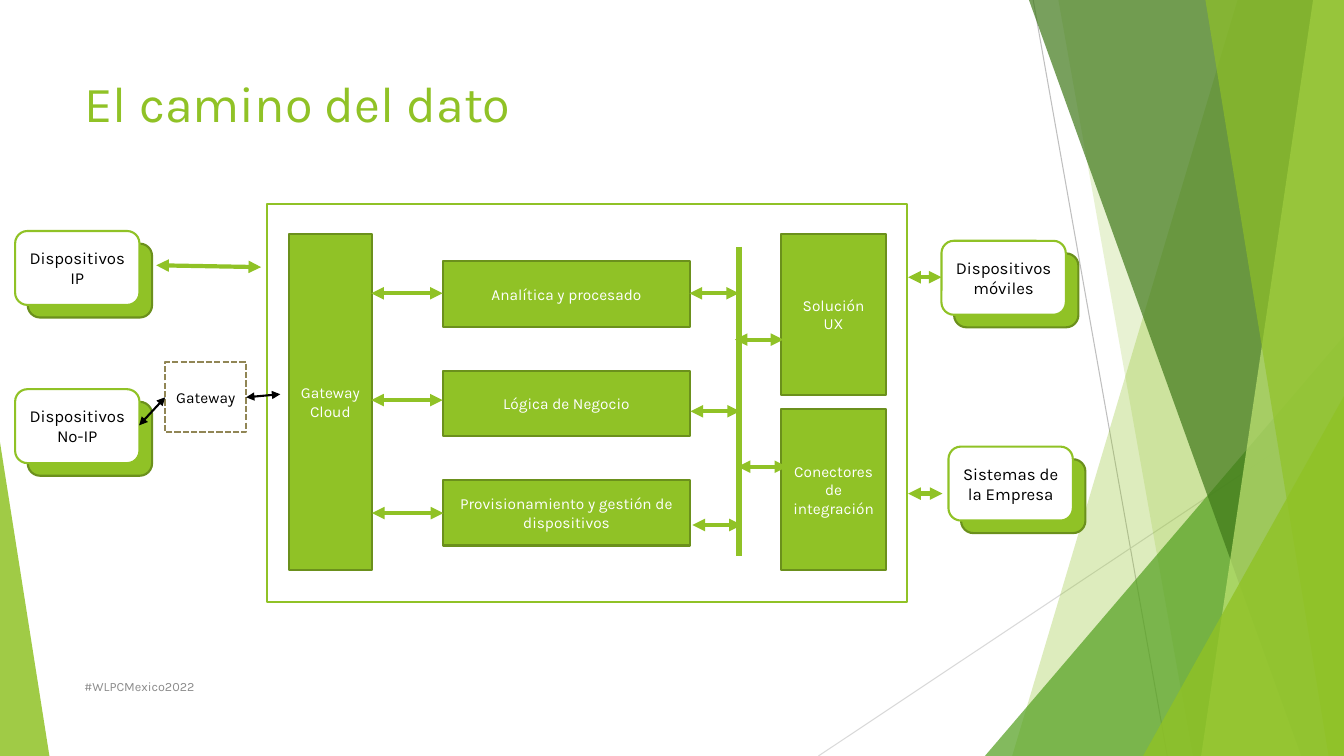
from lxml.etree import SubElement
from pptx import Presentation
from pptx.dml.color import RGBColor
from pptx.enum.dml import MSO_LINE as Dash
from pptx.enum.shapes import MSO_CONNECTOR as Link, MSO_SHAPE as Form
from pptx.enum.text import MSO_ANCHOR as Anchor, PP_ALIGN as Align
from pptx.oxml.ns import qn
from pptx.util import Pt

LIME = RGBColor(0x90, 0xC2, 0x26)
OLIVE = RGBColor(0x6B, 0x90, 0x1C)
GREEN = RGBColor(0x54, 0xA0, 0x21)
FOREST = RGBColor(0x3F, 0x78, 0x19)
PALE = RGBColor(0xC0, 0xE4, 0x74)
KHAKI = RGBColor(0x91, 0x86, 0x55)
SILVER = RGBColor(0xBF, 0xBF, 0xBF)
MIST = RGBColor(0xD9, 0xD9, 0xD9)
GRAY = RGBColor(0x8C, 0x8C, 0x8C)
WHITE = RGBColor(0xFF, 0xFF, 0xFF)
BLACK = RGBColor(0, 0, 0)
WIDE, HIGH = 960, 540


class Sketch:
    """Draw styled elements on one slide, with lengths in points."""

    face = "Karla"

    def __init__(self, deck):
        self.slide = deck.slides.add_slide(deck.slide_layouts[5])
        self.shapes = self.slide.shapes

    def label(self, shape, text, size, color, align=Align.CENTER, anchor=Anchor.MIDDLE, inset=7.2):
        frame = shape.text_frame
        frame.text = text
        look = {
            "word_wrap": True, "vertical_anchor": anchor,
            "margin_left": Pt(inset), "margin_right": Pt(inset),
            "margin_top": Pt(3.6), "margin_bottom": Pt(3.6),
        }
        for name, value in look.items():
            setattr(frame, name, value)
        para = frame.paragraphs[0]
        para.alignment = align
        font = para.runs[0].font
        for name, value in {"name": self.face, "size": Pt(size), "bold": False}.items():
            setattr(font, name, value)
        font.color.rgb = color

    def title(self, text, *box):
        shape = self.shapes.title
        for name, value in zip(("left", "top", "width", "height"), box):
            setattr(shape, name, Pt(value))
        self.label(shape, text, 36, LIME, Align.LEFT, Anchor.TOP)

    def note(self, text, *box):
        shape = self.shapes.add_textbox(*map(Pt, box))
        self.label(shape, text, 9, GRAY, Align.LEFT)

    def tint(self, shape, color, alpha):
        shape.shadow.inherit = False
        shape.fill.solid()
        shape.fill.fore_color.rgb = color
        shape.line.fill.background()
        tone = shape._element.spPr.find(qn("a:solidFill")).find(qn("a:srgbClr"))
        SubElement(tone, qn("a:alpha"), val=str(alpha * 1000))

    def shard(self, top, base, color, alpha):
        edge = self.shapes.build_freeform(Pt(top), 0)
        edge.add_line_segments([(Pt(x), Pt(y)) for x, y in ((WIDE, 0), (WIDE, HIGH), (base, HIGH))])
        self.tint(edge.convert_to_shape(), color, alpha)

    def wedge(self, left, top, width, peak, color, alpha):
        shape = self.shapes.add_shape(Form.ISOSCELES_TRIANGLE, *map(Pt, (left, top, width, HIGH - top)))
        shape.adjustments[0] = peak
        self.tint(shape, color, alpha)

    def box(self, area, text="", fill=LIME, edge=OLIVE, form=Form.RECTANGLE,
            size=11, color=WHITE, dash=None, inset=7.2):
        shape = self.shapes.add_shape(form, *map(Pt, area))
        shape.shadow.inherit = False
        shape.fill.solid()
        shape.fill.fore_color.rgb = fill
        shape.line.color.rgb = edge
        shape.line.width = Pt(1.5)
        if dash:
            shape.line.dash_style = dash
        if text:
            self.label(shape, text, size, color, inset=inset)

    def card(self, left, top, text):
        width, height, shift = 88.8, 52.8, 9
        form = Form.ROUNDED_RECTANGLE
        self.box((left + shift, top + shift, width, height), form=form)
        self.box((left, top, width, height), text, WHITE, LIME, form, 12, BLACK, inset=3.6)

    def line(self, ends, color=LIME, width=3, heads=True):
        link = self.shapes.add_connector(Link.STRAIGHT, *map(Pt, ends))
        link.line.color.rgb = color
        link.line.width = Pt(width)
        if heads:
            edge = link._element.spPr.find(qn("a:ln"))
            for end in ("a:headEnd", "a:tailEnd"):
                SubElement(edge, qn(end), type="triangle")
        SubElement(link._element.spPr, qn("a:effectLst"))


def backdrop(art):
    art.line((738, 0, 833.8, HIGH), SILVER, 0.75, False)
    art.line((WIDE, 290, 584.6, HIGH), MIST, 0.75, False)
    art.shard(884, 723, LIME, 30)
    art.shard(756, 852, LIME, 20)
    art.wedge(703.5, 240, 256.5, 1, GREEN, 72)
    art.shard(735, 929.5, FOREST, 70)
    art.shard(938, 858, PALE, 70)
    art.shard(861, 949, LIME, 65)
    art.wedge(816.5, 283, 143.5, 1, LIME, 80)
    art.wedge(0, 316, 35.3, 0, LIME, 85)


def diagram(art):
    art.card(10.8, 165, "Dispositivos IP")
    art.card(10.8, 278, "Dispositivos No-IP")
    art.box((190.8, 145.6, 457.2, 284.4), fill=WHITE, edge=LIME)
    art.box((206.5, 167, 59, 240), "Gateway Cloud")
    tasks = ("Analítica y procesado", "Lógica de Negocio", "Provisionamiento y gestión de dispositivos")
    for row, text in enumerate(tasks):
        art.box((316.3, 186.5 + 78.2 * row, 176.8, 46.8), text)
    for row, text in enumerate(("Solución UX", "Conectores de integración")):
        art.box((558, 167 + 125 * row, 75, 115.2), text)
    art.box((118, 258.7, 58, 50.2), "Gateway", WHITE, KHAKI, color=BLACK, dash=Dash.SQUARE_DOT, inset=3.6)
    art.line((111.6, 189.5, 186.5, 190.8))
    art.line((99.4, 303.8, 118, 283.8), BLACK, 1.5)
    art.line((175.8, 283.8, 200.2, 281.6), BLACK, 1.5)
    art.line((527.8, 176.4, 527.8, 397.4), width=4.5, heads=False)
    flows = (
        (265.2, 209.5, 51), (265.2, 285.8, 51), (265.7, 366.5, 51),
        (492.5, 209.5, 35.3), (493.2, 293.8, 35.3), (494.6, 375, 35.3),
        (527, 333.4, 35.3), (524.9, 242.6, 34.6),
        (648.7, 198, 23.8), (648.7, 352.6, 24.5),
    )
    for left, level, span in flows:
        art.line((left, level, left + span, level))
    art.card(672.5, 172, "Dispositivos móviles")
    art.card(677.5, 319, "Sistemas de la Empresa")


def main():
    deck = Presentation()
    deck.slide_width, deck.slide_height = Pt(WIDE), Pt(HIGH)
    art = Sketch(deck)
    backdrop(art)
    art.title("El camino del dato", 53.3, 48.2, 676.8, 103.7)
    art.note("#WLPCMexico2022", 53.3, 476, 496, 28.8)
    diagram(art)
    deck.save("out.pptx")


if __name__ == "__main__":
    main()
